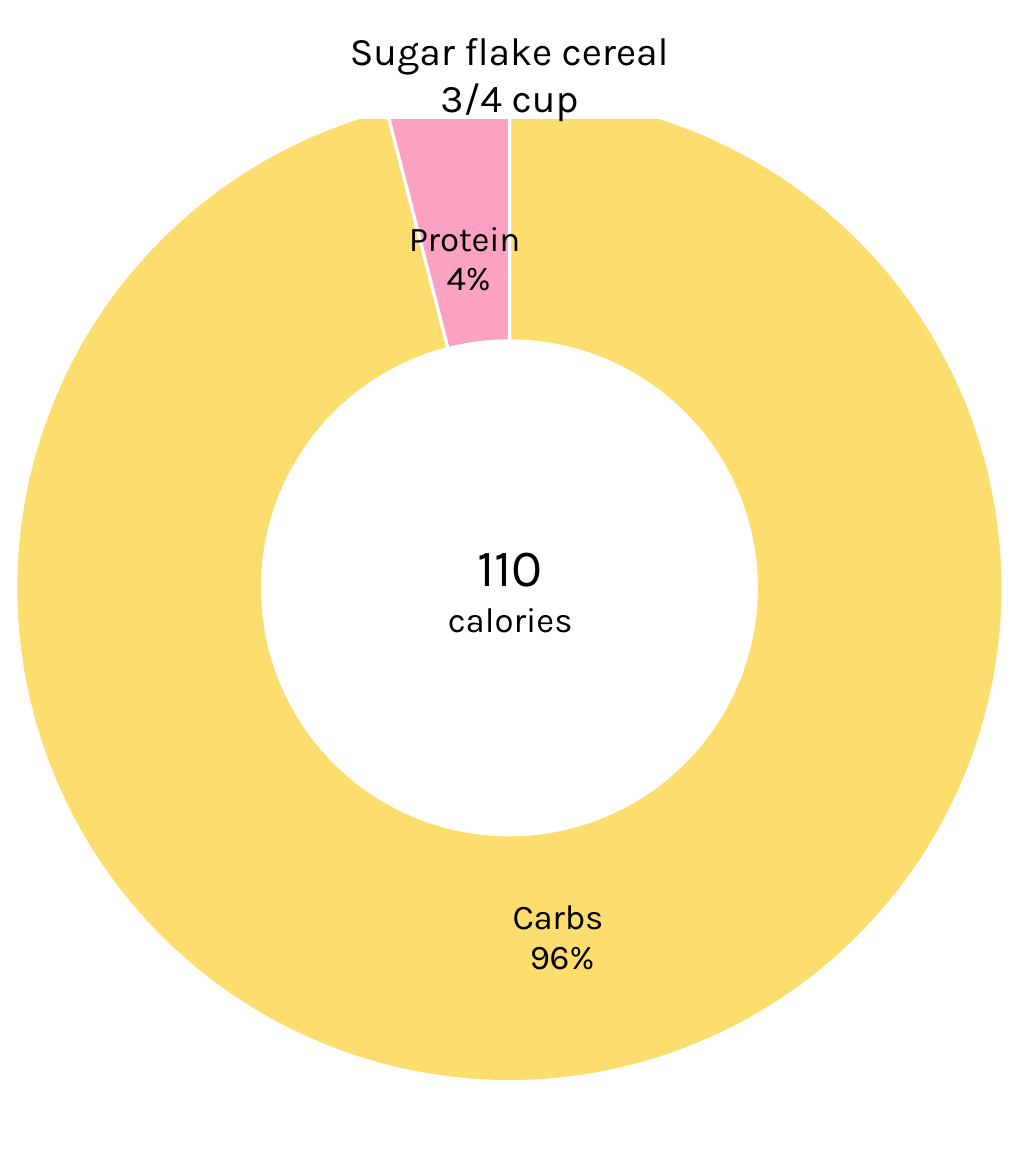
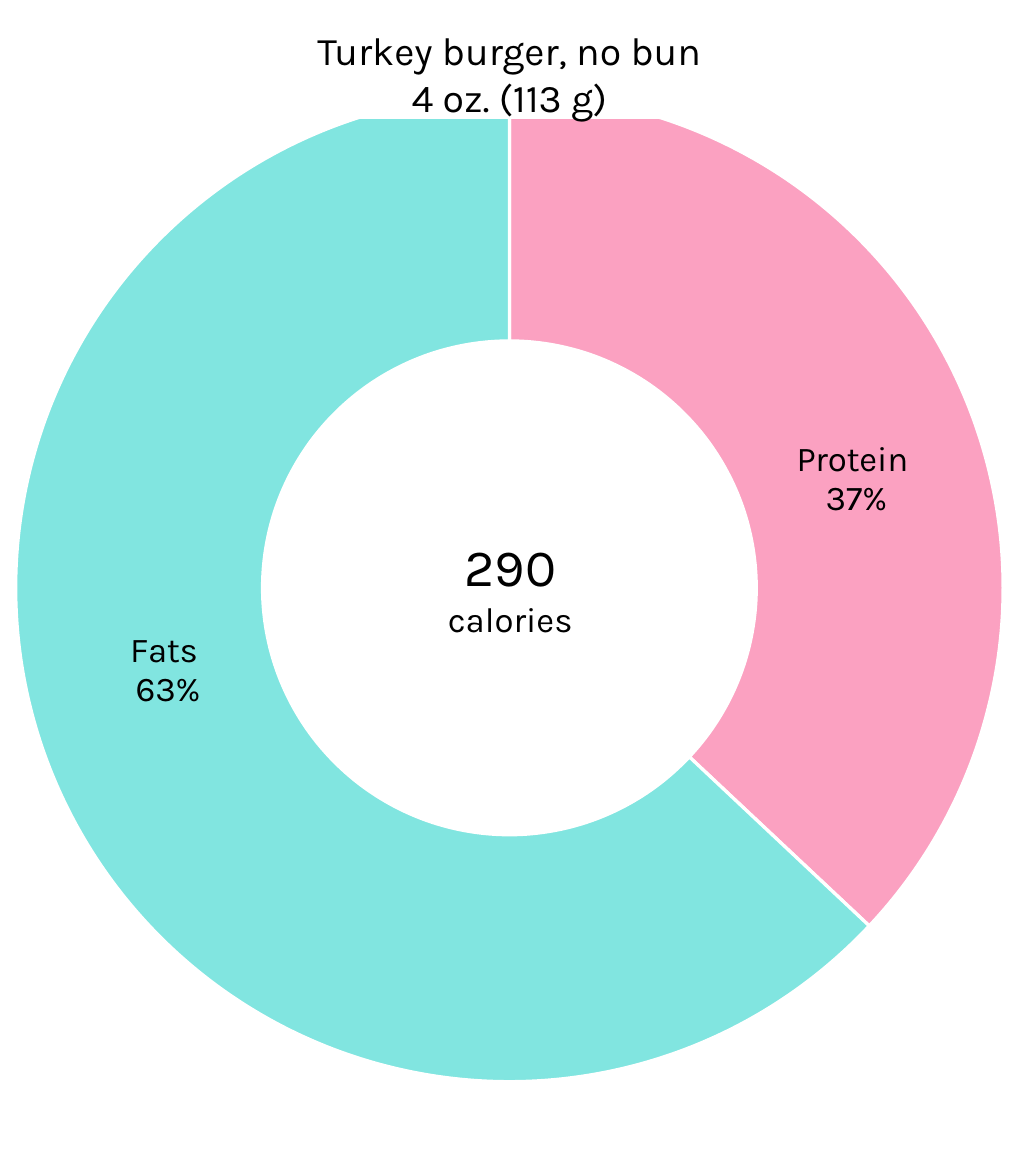
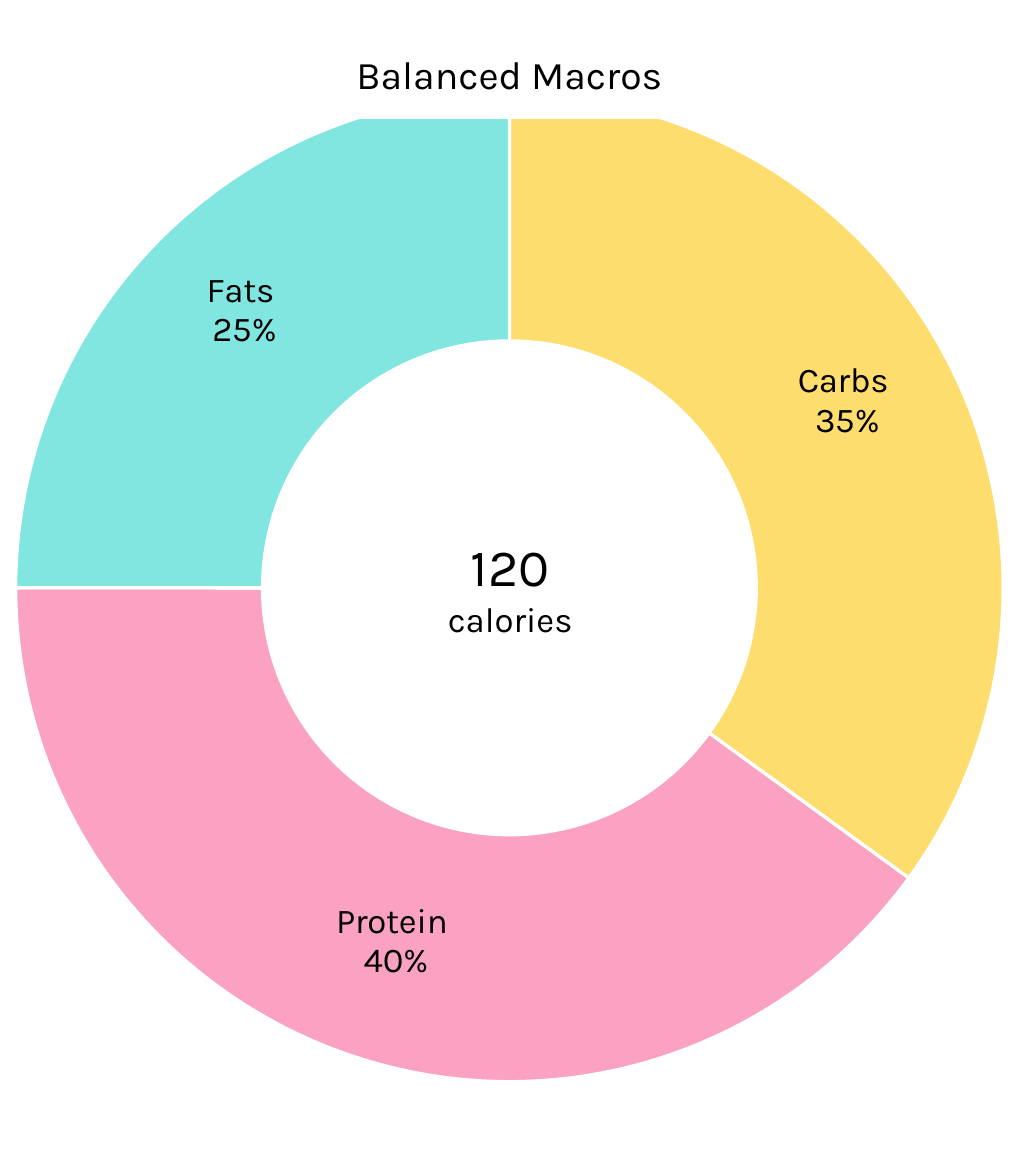
from lxml import etree
from pptx import Presentation
from pptx import util as u
from pptx.chart.data import CategoryChartData
from pptx.dml.color import RGBColor
from pptx.enum import chart as charts, text
from pptx.oxml.ns import qn

FONT = "Karla"
CHART_FONT = "Calibri"
COLORS = {"Carbs": "FDDD6E", "Protein": "FBA1C1", "Fats": "81E5E0",
          "text": "000000", "paper": "FFFFFF"}
NUTRIENTS = ["Carbs", "Protein", "Fats"]
LABEL_LINES = [("Carbs ", "{:.0%}"), ("Protein", " {:.0%}"), ("Fats ", "{:.0%}")]

# share of each nutrient, and how far (px) its label sits from the ring's middle
FOODS = [
    {"title": ["Sugar flake cereal", "3/4 cup"], "calories": "110",
     "shares": [0.96, 0.04, 0], "shifts": [(4, -11), (1, 25), (0, 0)]},
    {"title": ["Turkey burger, no bun", "4 oz. (113 g)"], "calories": "290",
     "shares": [0, 0.37, 0.63], "shifts": [(0, 0), (2, 25), (-1, -41)]},
    {"title": ["Balanced Macros"], "calories": "120",
     "shares": [0.35, 0.4, 0.25], "shifts": [(5, -12), (-2, 1), (-2, -10)]},
]

PX = 9144  # 100 px to the inch
SLIDE_SIZE = (650, 750)
CHART_BOX = (-4, 0, 658, 750)
RING_SIZE = 630
CENTER_BOX = (269, 336, 113, 77)
TITLE_BOX = (150, 19, 350, 56)


def emu(lengths):
    return [u.Emu(length * PX) for length in lengths]


def color(name):
    return RGBColor.from_string(COLORS[name])


def paint(part, fill, line, width):
    part.fill.solid()
    part.fill.fore_color.rgb = color(fill)
    part.line.color.rgb = color(line)
    part.line.width = u.Pt(width)


def style(font, name, size):
    for key, value in {"name": name, "size": u.Pt(size), "bold": False}.items():
        setattr(font, key, value)
    font.color.rgb = color("text")


def write(frame, lines):
    """Fill a text frame with centred (text, size) lines."""
    for index, (line, size) in enumerate(lines):
        paragraph = frame.add_paragraph() if index else frame.paragraphs[0]
        paragraph.alignment = text.PP_ALIGN.CENTER
        run = paragraph.add_run()
        run.text = line
        style(run.font, FONT, size)


def manual_layout(**values):
    layout = etree.Element(qn("c:layout"))
    manual = etree.SubElement(layout, qn("c:manualLayout"))
    for name, value in values.items():
        etree.SubElement(manual, qn("c:" + name), val=str(value))
    return layout


def place_ring(chart):
    width, height = (round(RING_SIZE / side, 4) for side in CHART_BOX[2:])
    plot_area = chart._chartSpace.chart.plotArea
    for old in plot_area.findall(qn("c:layout")):
        plot_area.remove(old)
    plot_area.insert(0, manual_layout(
        layoutTarget="inner", xMode="edge", yMode="edge",
        x=round((1 - width) / 2, 4), y=round((1 - height) / 2, 4), w=width, h=height))


def shift_labels(series, shifts):
    """Move each point's label and let it show its category."""
    for label, shift in zip(series._element.iter(qn("c:dLbl")), shifts):
        x, y = (round(offset / side, 4) for offset, side in zip(shift, CHART_BOX[2:]))
        label.find(qn("c:idx")).addnext(manual_layout(x=x, y=y))
        label.find(qn("c:showCatName")).set("val", "1")


def add_ring(slide, food):
    data = CategoryChartData(number_format="0%")
    data.categories = NUTRIENTS
    data.add_series("Series 1", food["shares"])
    chart = slide.shapes.add_chart(
        charts.XL_CHART_TYPE.DOUGHNUT, *emu(CHART_BOX), data).chart
    chart.has_legend = chart.has_title = False
    style(chart.font, CHART_FONT, 10)
    place_ring(chart)
    plot = chart.plots[0]
    plot.vary_by_categories = True
    series = plot.series[0]
    labels = series.data_labels
    for name, value in {"show_value": True, "show_category_name": True,
                        "number_format": "0%",
                        "number_format_is_linked": False}.items():
        setattr(labels, name, value)
    style(labels.font, CHART_FONT, 12)
    for index, (nutrient, share) in enumerate(zip(NUTRIENTS, food["shares"])):
        point = series.points[index]
        paint(point.format, nutrient, "paper", 1.5)
        write(point.data_label.text_frame,
              [(line.format(share), 16) for line in LABEL_LINES[index]])
    shift_labels(series, food["shifts"])


def add_center(slide, calories):
    frame = slide.shapes.add_textbox(*emu(CENTER_BOX)).text_frame
    frame.word_wrap = False
    frame.auto_size = text.MSO_AUTO_SIZE.SHAPE_TO_FIT_TEXT
    write(frame, [(calories, 24), ("calories", 16)])


def set_title(slide, lines):
    title = slide.shapes.title
    for name, value in zip(("left", "top", "width", "height"), emu(TITLE_BOX)):
        setattr(title, name, value)
    paint(title, "paper", "paper", 1)
    frame = title.text_frame
    frame.auto_size = text.MSO_AUTO_SIZE.NONE
    frame.vertical_anchor = text.MSO_ANCHOR.MIDDLE
    write(frame, [(line, 18) for line in lines])
    slide.shapes._spTree.append(title._element)  # the title covers the ring's top


def main():
    presentation = Presentation()
    presentation.slide_width, presentation.slide_height = emu(SLIDE_SIZE)
    for food in FOODS:
        slide = presentation.slides.add_slide(presentation.slide_layouts[5])
        add_ring(slide, food)
        add_center(slide, food["calories"])
        set_title(slide, food["title"])
    presentation.save("out.pptx")


if __name__ == "__main__":
    main()
